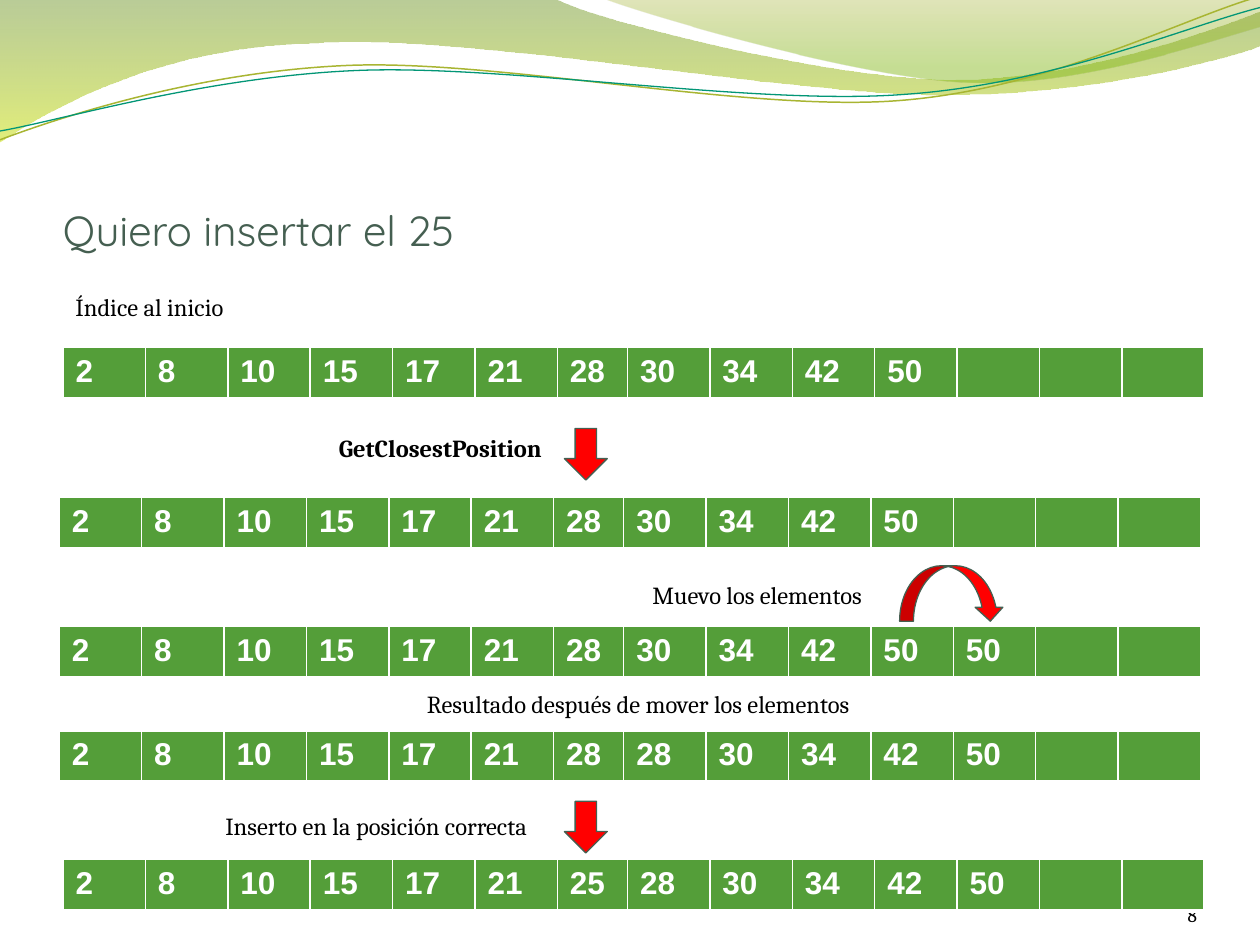
import dataclasses

import lxml.etree
import pptx
import pptx.dml.color
import pptx.enum.shapes
import pptx.enum.text
import pptx.oxml.ns
import pptx.util
from pptx.util import Inches, Pt

RGB = pptx.dml.color.RGBColor.from_string
SHAPE = pptx.enum.shapes.MSO_SHAPE
ANCHOR = pptx.enum.text.MSO_ANCHOR
ALIGN = pptx.enum.text.PP_ALIGN
qn = pptx.oxml.ns.qn


@dataclasses.dataclass(frozen=True)
class Theme:
    title_font: str = "Quicksand"
    body_font: str = "Cambria"
    cell_font: str = "Arial"
    title_size: int = 24
    cell_size: int = 18
    label_size: int = 14
    number_size: int = 11
    dark: str = "455F51"
    black: str = "000000"
    white: str = "FFFFFF"
    cell: str = "549E39"
    arrow: str = "FF0000"
    olive: str = "A8B532"
    teal: str = "029676"


T = Theme()


def add_curve(s, start, segments, closed):
    """Draw a path of line ends (x, y) and Bezier curves (x1, y1, x2, y2, x, y)."""
    fb = s.shapes.build_freeform(Inches(start[0]), Inches(start[1]))
    fb.add_line_segments([tuple(map(Inches, seg[-2:])) for seg in segments], close=closed)
    sp = fb.convert_to_shape()
    sp.shadow.inherit = False
    for seg, line in zip(segments, list(sp.element.iter(qn("a:lnTo")))):
        if len(seg) == 6:
            curve = lxml.etree.Element(qn("a:cubicBezTo"))
            for x, y in zip(seg[::2], seg[1::2]):
                lxml.etree.SubElement(curve, qn("a:pt"), x=str(Inches(x) - sp.left),
                                      y=str(Inches(y) - sp.top))
            line.getparent().replace(line, curve)
    return sp


def add_text(s, box, text, size, font=T.body_font, color=T.black, bold=False,
             inset=(0.1, 0.1, 0.1, 0.1), anchor=ANCHOR.TOP, align=ALIGN.LEFT):
    tf = s.shapes.add_textbox(*map(Inches, box)).text_frame
    tf.word_wrap = True
    tf.vertical_anchor = anchor
    tf.margin_left, tf.margin_top, tf.margin_right, tf.margin_bottom = map(Inches, inset)
    p = tf.paragraphs[0]
    p.text, p.alignment = text, align
    p.font.name, p.font.size, p.font.bold = font, Pt(size), bold
    p.font.color.rgb = RGB(color)


prs = pptx.Presentation()
prs.slide_width, prs.slide_height = Inches(10), Inches(7.5)
s = prs.slides.add_slide(prs.slide_layouts[6])

# Header waves: start, segments, gradient stops (position, colour, opacity %)
waves = [
    ((0, 0),
     [(4.4, -0.01), (4.75, 0.17, 6.63, 0.63, 7.58, 0.63), (8.53, 0.63, 9.58, 0.26, 10, 0.09),
      (10.01, 0.36), (9.83, 0.44, 8.69, 0.76, 7.46, 0.75), (6.22, 0.75, 3.81, 0.28, 2.57, 0.34),
      (1.29, 0.36, 0.46, 0.83, -0.01, 1.13)],
     [(0, "668F1B", 45), (1, "CAE00E", 55)]),
    ((4.79, -0.01),
     [(5.09, 0.11, 6.82, 0.62, 7.68, 0.65), (8.55, 0.69, 9.61, 0.32, 10, 0.21), (10, 0)],
     [(0, "99A719", 30), (0.8, "80B814", 45)]),
]
for start, segments, stops in waves:
    sp = add_curve(s, start, segments, True)
    sp.line.fill.background()
    sp.fill.gradient()
    sp.fill.gradient_angle = 270
    for stop, (position, color, _) in zip(sp.fill.gradient_stops, stops):
        stop.position = position
        stop.color.rgb = RGB(color)
    for clr, (_, _, opacity) in zip(sp.element.spPr.iter(qn("a:srgbClr")), stops):
        lxml.etree.SubElement(clr, qn("a:alpha"), val=str(opacity * 1000))

lines = [
    ((0, 1.11), [(0.48, 0.93, 1.57, 0.57, 2.76, 0.52), (3.95, 0.47, 5.92, 0.89, 7.12, 0.8),
                 (8.33, 0.71, 9.38, 0.15, 9.97, -0.02)], T.olive, 0.85),
    ((0, 1.04), [(0.47, 0.96, 1.63, 0.61, 2.83, 0.56), (4.02, 0.51, 5.97, 0.84, 7.17, 0.75),
                 (8.36, 0.67, 9.41, 0.21, 10, 0.06)], T.teal, 0.75),
]
for start, segments, color, width in lines:
    sp = add_curve(s, start, segments, False)
    sp.fill.background()
    sp.line.color.rgb = RGB(color)
    sp.line.width = Pt(width)

add_text(s, (0.5, 0.77, 9, 1.25), "Quiero insertar el 25", T.title_size, T.title_font, T.dark,
         inset=(0, 0.05, 0, 0), anchor=ANCHOR.BOTTOM)
add_text(s, (8.67, 6.95, 0.83, 0.4), "8", T.number_size, inset=(0, 0, 0, 0),
         anchor=ANCHOR.BOTTOM, align=ALIGN.RIGHT)

# Each array is two seven-cell tables; the second starts 4.48 in to the right
HALF, HALF_WIDTH, HALF_STEP, ROW_HEIGHT = 7, 4.58, 4.48, 0.41
head = [2, 8, 10, 15, 17, 21]
arrays = [
    (0.5, 2.76, head + [28, 30, 34, 42, 50]),
    (0.47, 3.95, head + [28, 30, 34, 42, 50]),
    (0.47, 4.97, head + [28, 30, 34, 42, 50, 50]),
    (0.47, 5.8, head + [28, 28, 30, 34, 42, 50]),
    (0.5, 6.82, head + [25, 28, 30, 34, 42, 50]),
]
for left, top, values in arrays:
    cells = [str(v) for v in values] + [""] * (2 * HALF - len(values))
    for half in range(2):
        table = s.shapes.add_table(1, HALF, Inches(left + half * HALF_STEP), Inches(top),
                                   Inches(HALF_WIDTH), Inches(ROW_HEIGHT)).table
        for cell, text in zip(table.rows[0].cells, cells[half * HALF:]):
            p = cell.text_frame.paragraphs[0]
            p.text = text
            p.font.name, p.font.size, p.font.bold = T.cell_font, Pt(T.cell_size), True
            p.font.color.rgb = RGB(T.white)
            tcPr = cell._tc.get_or_add_tcPr()
            for side, width in (("L", 1), ("R", 1), ("T", 1), ("B", 3)):
                ln = lxml.etree.SubElement(tcPr, qn(f"a:ln{side}"), w=str(Pt(width)))
                fill = lxml.etree.SubElement(ln, qn("a:solidFill"))
                lxml.etree.SubElement(fill, qn("a:srgbClr"), val=T.white)
            cell.fill.solid()
            cell.fill.fore_color.rgb = RGB(T.cell)

arrows = [
    (SHAPE.DOWN_ARROW, (4.48, 3.4, 0.34, 0.41)),
    (SHAPE.CURVED_DOWN_ARROW, (7.14, 4.49, 0.83, 0.44)),
    (SHAPE.DOWN_ARROW, (4.48, 6.36, 0.34, 0.41)),
]
for kind, box in arrows:
    sp = s.shapes.add_shape(kind, *map(Inches, box))
    sp.shadow.inherit = False
    sp.fill.solid()
    sp.fill.fore_color.rgb = RGB(T.arrow)
    sp.line.color.rgb = RGB(T.dark)
    sp.line.width = Pt(0.75)

labels = [
    (0.5, 2.22, 2.09, "Índice al inicio", False),
    (2.59, 3.34, 2.05, "GetClosestPosition", True),
    (5.08, 4.5, 2.09, "Muevo los elementos", False),
    (3.29, 5.37, 4.08, "Resultado después de mover los elementos", False),
    (1.69, 6.34, 2.98, "Inserto en la posición correcta", False),
]
for left, top, width, text, bold in labels:
    add_text(s, (left, top, width, 0.44), text, T.label_size, bold=bold)

prs.save("out.pptx")
